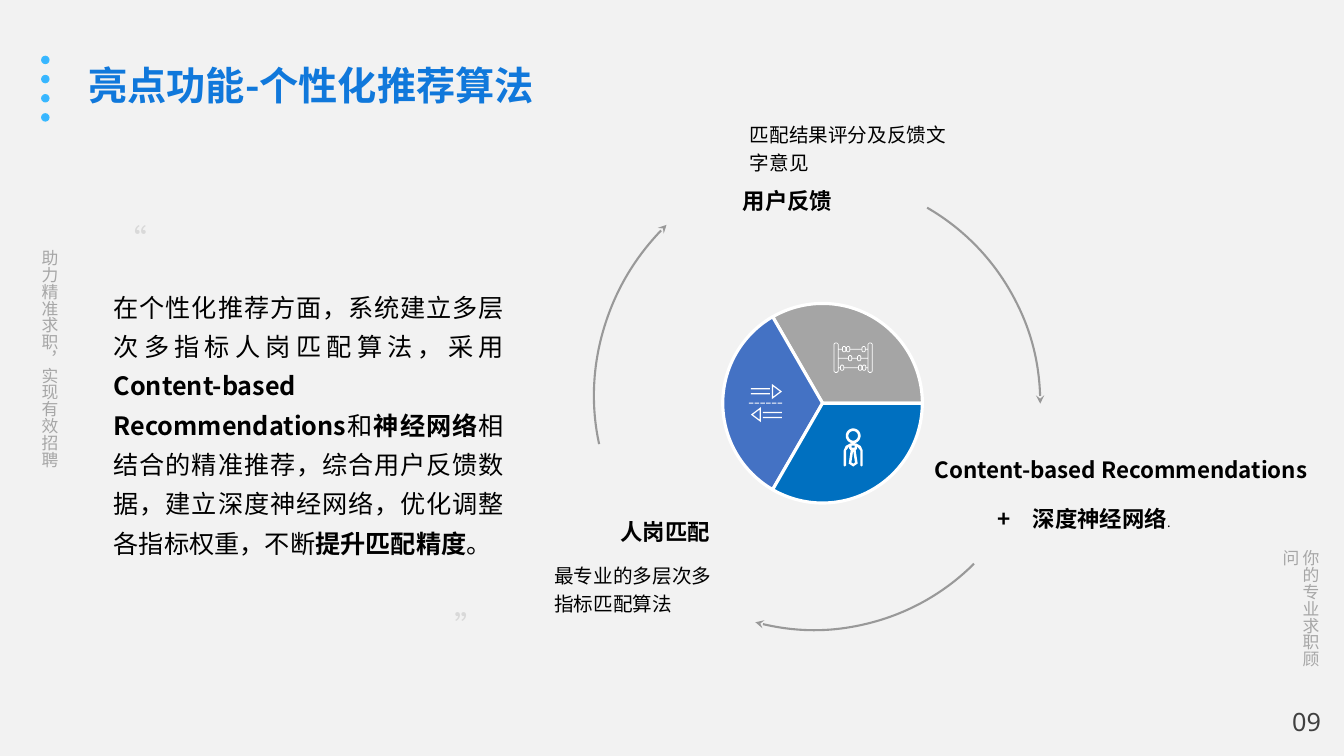
from dataclasses import dataclass
from math import cos, pi, sin

from lxml.etree import SubElement
from pptx import Presentation
from pptx.dml.color import RGBColor as Rgb
from pptx.enum.shapes import MSO_SHAPE as Kind
from pptx.enum.text import MSO_ANCHOR as Anchor
from pptx.enum.text import MSO_AUTO_SIZE as Fit
from pptx.enum.text import PP_ALIGN as Align
from pptx.oxml.ns import qn
from pptx.util import Inches, Pt

CELL = 0.1  # inches per grid column and row
COLS, ROWS = 133.33, 75


@dataclass(frozen=True)
class Theme:
    paper: str = "F2F2F2"
    white: str = "FFFFFF"
    ink: str = "000000"
    title: str = "1078DB"
    dot: str = "38B5FF"
    rim: str = "39B9FF"
    side: str = "A6A6A6"
    page: str = "404040"
    quote: str = "D9D9D9"
    arc: str = "999999"
    gray: str = "A5A5A5"
    blue: str = "4472C4"
    deep: str = "0070C0"
    latin: str = "Noto Sans"
    han: str = "Noto Sans CJK SC"
    huge: float = 28
    mark: float = 22.8
    body: float = 18
    head: float = 16
    note: float = 14
    small: float = 12
    tiny: float = 9


def grid(*cells):
    return [Inches(cell * CELL) for cell in cells]


def write(para, text, *, size, color, font, bold=False):
    run = para.add_run()
    run.text = text
    run.font.size, run.font.bold, run.font.name = Pt(size), bold, font
    run.font.color.rgb = Rgb.from_string(color)
    SubElement(run._r.get_or_add_rPr(), qn("a:ea"), typeface=Theme.han)


class Board:
    def __init__(self, deck, theme):
        self.theme = theme
        self.slide = deck.slides.add_slide(deck.slide_layouts[6])
        fill = self.slide.background.fill
        fill.solid()
        fill.fore_color.rgb = Rgb.from_string(theme.paper)
        self.shapes = self.slide.shapes

    def paint(self, shape, fill=None, line=None, width=1):
        shape.shadow.inherit = False
        for color, part in ((fill, shape.fill), (line, shape.line.fill)):
            if color:
                part.solid()
                part.fore_color.rgb = Rgb.from_string(color)
            else:
                part.background()
        if line:
            shape.line.width = Pt(width)

    def text(self, words, *place, size=None, color=None, font=None, bold=False, align=Align.LEFT,
             lead=None, anchor=Anchor.TOP, wrap=True, turn=0, tall=False):
        """Words are a string, or a list of (text, format changes) runs."""
        box = self.shapes.add_textbox(*grid(*place))
        box.rotation = turn
        frame = box.text_frame
        frame.word_wrap, frame.vertical_anchor = wrap, anchor
        if tall:
            box.element.txBody.bodyPr.set("vert", "eaVert")
            frame.auto_size = Fit.SHAPE_TO_FIT_TEXT
        para = frame.paragraphs[0]
        para.alignment, para.line_spacing = align, lead
        base = dict(size=size or self.theme.body, color=color or self.theme.ink,
                    font=font or self.theme.han, bold=bold)
        for part, extra in [(words, {})] if isinstance(words, str) else words:
            write(para, part, **(base | extra))

    def dot(self, *place):
        shape = self.shapes.add_shape(Kind.OVAL, *grid(*place))
        self.paint(shape, self.theme.dot, self.theme.rim)

    def sweep(self, kind, place, turn, start, end):
        """Add an arc or pie whose ends are given in degrees."""
        shape = self.shapes.add_shape(kind, *grid(*place))
        shape.rotation = turn
        for i, angle in enumerate((start, end)):
            shape.adjustments[i] = angle * 0.6
        return shape

    def arrow(self, place, turn, end=0):
        shape = self.sweep(Kind.ARC, place, turn, 300, end)
        self.paint(shape, line=self.theme.arc, width=1.5)
        SubElement(shape.line._get_or_add_ln(), qn("a:tailEnd"), type="stealth")

    def slice(self, place, turn, color):
        shape = self.sweep(Kind.PIE, place, turn, 60, 180)
        self.paint(shape, color, self.theme.white, 2.25)

    def icon(self, left, top, loops):
        """Draw closed loops, in tenths of a cell, as one outline."""
        fine = [[(x * 100, y * 100) for x, y in loop] for loop in loops]
        pen = self.shapes.build_freeform(*fine[0][0], scale=Inches(CELL / 1000))
        for i, loop in enumerate(fine):
            if i:
                pen.move_to(*loop[0])
            pen.add_line_segments(loop[1:], close=True)
        self.paint(pen.convert_to_shape(*grid(left, top)), self.theme.white)


def block(x, y, w, h, cut=0):
    """Rectangle with its corners cut."""
    r, b = x + w, y + h
    return [(x + cut, y), (r - cut, y), (r, y + cut), (r, b - cut),
            (r - cut, b), (x + cut, b), (x, b - cut), (x, y + cut)]


def ring(x, y, w, h, cut, rim=0.8):
    return [block(x, y, w, h, cut),
            block(x + rim, y + rim, w - 2 * rim, h - 2 * rim, cut / 2)]


def disc(x, y, r, steps=32):
    return [(x + r * cos(2 * pi * i / steps), y + r * sin(2 * pi * i / steps))
            for i in range(steps)]


def abacus():
    loops = ring(0, 0, 5, 30, 1.5) + ring(34, 0, 5, 30, 1.5)
    for y, beads in ((6.5, (10.5, 14.5, 30)), (15.5, (16.5, 25.5)), (25, (8.5, 26.5, 30.5))):
        for x in beads:
            loops += ring(x - 2, y - 3, 4, 6, 1.2)
        stops = [5, *(x + d for x in beads for d in (-2, 2)), 34]
        loops += [block(a, y - 0.4, b - a, 0.8)
                  for a, b in zip(stops[::2], stops[1::2]) if b > a]
    return loops


def swap():
    right = [block(2, 4, 19, 1.3), block(2, 9, 19, 1.3),
             [(23, 0), (33, 7.5), (23, 15)], [(24.2, 2.4), (31, 7.5), (24.2, 12.6)]]
    left = [[(35 - x, 38 - y) for x, y in loop] for loop in right]
    return right + left + [block(5.75 * i, 18.5, 4.5, 1) for i in range(6)]


def person():
    half = [(9.5, 15), (6.5, 15), (2, 17.5), (0, 22), (0, 37), (1, 38), (2.4, 37),
            (2.4, 22), (5.5, 18), (5.5, 20), (7, 22), (5, 35), (9.5, 38)]
    coat = half + [(19 - x, y) for x, y in half[-2:0:-1]]
    tie = [(9.5, 22), (11.3, 34), (9.5, 35.2), (7.7, 34)]
    return [disc(9.5, 7.4, 7.4), disc(9.5, 7.4, 4.8), coat, block(8, 17.2, 3, 2), tie]


def main():
    deck = Presentation()
    deck.slide_width, deck.slide_height = grid(COLS, ROWS)
    look = Theme()
    board = Board(deck, look)

    side = dict(size=look.small, color=look.side, font=look.latin, tall=True)
    board.text("你的专业求职顾问", 127.5, 53.6, 4, 15, **side)
    board.text("助力精准求职，实现有效招聘", 2.4, 23.8, 4, 25.5, **side)
    for i in range(4):
        board.dot(4.15, 5.6 + 1.9 * i, 0.7, 0.7)
    board.text("09", 127.2, 69.9, 5, 3.8, color=look.page, font=look.latin, lead=0.9)
    board.text("亮点功能-个性化推荐算法", 7.8, 5.6, 55.2, 5.7,
               size=look.huge, color=look.title, bold=True)

    head = dict(size=look.head, bold=True, anchor=Anchor.BOTTOM, wrap=False)
    board.text("用户反馈", 72.7, 18.3, 27.7, 3.4, **head)
    board.text("人岗匹配", 43.7, 51.2, 27.7, 3.4, align=Align.RIGHT, **head)
    board.text("Content-based Recommendations", 90.7, 45, 40, 3.4, align=Align.RIGHT, **head)
    board.text([("+　深度神经网络", {}), (".", dict(size=look.tiny, bold=False))],
               89.4, 49.1, 27.7, 7.8, size=look.head, bold=True, align=Align.RIGHT, lead=1.2)
    note = dict(size=look.note, lead=1.2)
    board.text("最专业的多层次多指标匹配算法", 54, 55, 19.2, 7.8, **note)
    board.text("匹配结果评分及反馈文字意见", 73.4, 11.2, 23.2, 7.9, **note)

    orbit = (58.3, 17.6, 44.9, 44.9)
    board.arrow(orbit, 0)
    board.arrow(orbit, 105)
    board.arrow((59.5, 14.8, 44.3, 46.6), 225, 0.5)
    for turn, color in ((180, look.gray), (60, look.blue), (300, look.deep)):
        board.slice((71.7, 30.1, 19.8, 19.8), turn, color)
    board.icon(82.7, 34, abacus())
    board.icon(74.3, 38.1, swap())
    board.icon(83.7, 42.5, person())

    strong = dict(bold=True)
    board.text([("在个性化推荐方面，系统建立多层次多指标人岗匹配算法，采用", {}),
                ("Content-based Recommendations", strong), ("和", {}), ("神经网络", strong),
                ("相结合的精准推荐，综合用户反馈数据，建立深度神经网络，优化调整各指标权重，不断", {}),
                ("提升匹配精度", strong), ("。", {})],
               10.3, 27.6, 40.7, 21.6, align=Align.JUSTIFY, lead=1.3)
    quote = dict(size=look.mark, color=look.quote, anchor=Anchor.MIDDLE)
    board.text("“", 10.5, 21.7, 4.4, 4.2, **quote)
    board.text("“", 44.7, 58.1, 4.5, 4.3, turn=180, **quote)
    deck.save("out.pptx")


if __name__ == "__main__":
    main()
